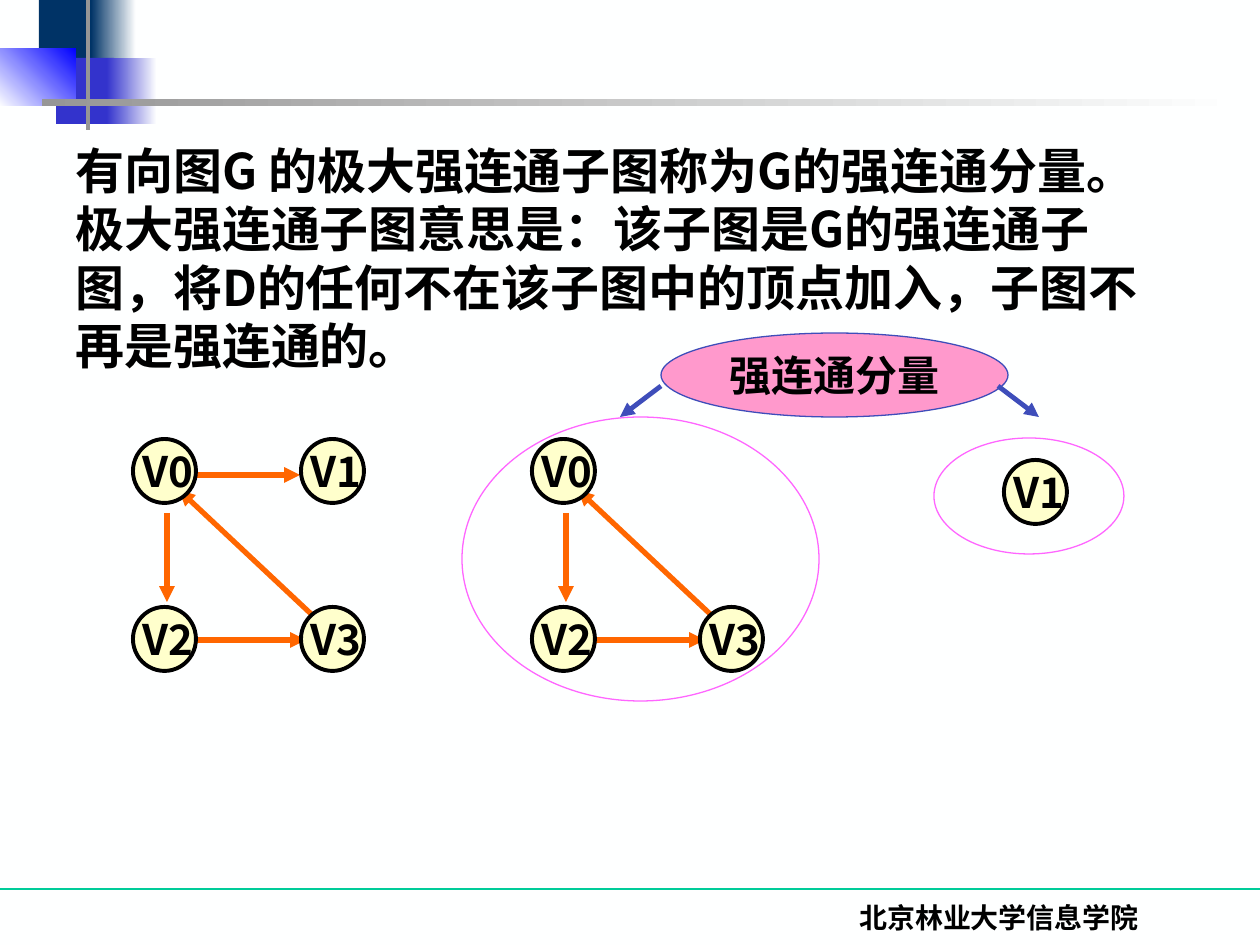
from typing import NamedTuple, Optional

from pptx import Presentation
from pptx.dml.color import RGBColor
from pptx.enum.shapes import MSO_CONNECTOR, MSO_SHAPE
from pptx.enum.text import MSO_ANCHOR, PP_ALIGN
from pptx.oxml.ns import qn
from pptx.util import Emu, Pt
from lxml.etree import SubElement

PX_PER_INCH = 126
SANS, SERIF = "Noto Sans CJK SC", "Times New Roman"
BLACK, PAPER, NAVY, INDIGO = "000000", "FEFFFF", "003366", "3333CC"
BLUE, GRAY, GREEN = "0000FF", "969696", "00CC99"
CALLOUT_BLUE, PINK, MAGENTA = "3E4DBA", "FF99CC", "FF66FF"
ORANGE, CREAM = "FF6600", "FFFFCC"

NODE_W, NODE_H, STEP = 63, 64, 168


class Box(NamedTuple):
    x: int
    y: int
    w: int
    h: int


class Band(NamedTuple):
    box: Box
    color: str
    fade_to: Optional[str] = None
    angle: int = 0


class Arrow(NamedTuple):
    x1: int
    y1: int
    x2: int
    y2: int


class Graph(NamedTuple):
    x: int
    y: int
    nodes: dict
    arrows: list


BANDS = [
    Band(Box(39, 0, 60, 66), NAVY),
    Band(Box(91, 0, 45, 66), NAVY, PAPER),
    Band(Box(56, 58, 58, 66), INDIGO),
    Band(Box(107, 58, 50, 66), INDIGO, PAPER),
    Band(Box(-1, 48, 77, 58), PAPER, BLUE, 45),
    Band(Box(86, -15, 4, 145), GRAY),
    Band(Box(42, 99, 1198, 7), GRAY, PAPER),
]

# Node cells are (column, row); arrows are measured from the graph's corner.
DOWN, ACROSS = Arrow(34, 74, 34, 163), Arrow(64, 201, 173, 201)
TOP, BACK = Arrow(64, 36, 167, 36), Arrow(192, 188, 46, 51)
GRAPHS = [
    Graph(133, 439, {"V0": (0, 0), "V1": (1, 0), "V2": (0, 1), "V3": (1, 1)},
          [DOWN, ACROSS, TOP, BACK]),
    Graph(532, 439, {"V0": (0, 0), "V2": (0, 1), "V3": (1, 1)},
          [DOWN, ACROSS, BACK]),
    Graph(1004, 460, {"V1": (0, 0)}, []),
]
COMPONENT_RINGS = [Box(462, 417, 357, 284), Box(934, 438, 190, 116)]
CALLOUT = Box(661, 333, 347, 84)
CALLOUT_ARROWS = [Arrow(661, 386, 620, 417), Arrow(998, 386, 1039, 417)]

DEFINITION = ("有向图G 的极大强连通子图称为G的强连通分量。极大强连通子图意思是："
              "该子图是G的强连通子图，将D的任何不在该子图中的顶点加入，子图不再是强连通的。")


def px(n: int) -> Emu:
    return Emu(round(n * 914400 / PX_PER_INCH))


def rgb(color: str) -> RGBColor:
    return RGBColor.from_string(color)


def add_shape(s, kind, box: Box, fill: Optional[str] = None,
              line: Optional[str] = None, width: float = 0.75):
    sp = s.shapes.add_shape(kind, *map(px, box))
    sp.shadow.inherit = False
    if fill:
        sp.fill.solid()
        sp.fill.fore_color.rgb = rgb(fill)
    else:
        sp.fill.background()
    if line:
        sp.line.color.rgb = rgb(line)
        sp.line.width = Pt(width)
    else:
        sp.line.fill.background()
    return sp


def add_band(s, band: Band) -> None:
    sp = add_shape(s, MSO_SHAPE.RECTANGLE, band.box, band.color)
    if band.fade_to:
        sp.fill.gradient()
        sp.fill.gradient_angle = band.angle
        for stop, color in zip(sp.fill.gradient_stops, (band.color, band.fade_to)):
            stop.color.rgb = rgb(color)


def add_line(s, ends: Arrow, color: str, width: float, head: bool = True) -> None:
    c = s.shapes.add_connector(MSO_CONNECTOR.STRAIGHT, *map(px, ends))
    c.line.color.rgb = rgb(color)
    c.line.width = Pt(width)
    sp_pr = c._element.spPr
    if head:
        SubElement(sp_pr.find(qn("a:ln")), qn("a:tailEnd"), type="triangle")
    SubElement(sp_pr, qn("a:effectLst"))


def write(sp, text: str, size: int, font: str, align=PP_ALIGN.LEFT,
          leading: Optional[float] = None):
    """Fill a shape with one bold paragraph; leading is a fixed line height in points."""
    tf = sp.text_frame
    tf.word_wrap = True
    p = tf.paragraphs[0]
    p.alignment = align
    p._p.get_or_add_pPr().set("hangingPunct", "0")
    if leading:
        p.line_spacing = Pt(leading)
    r = p.add_run()
    r.text = text
    r.font.size = Pt(size)
    r.font.bold = True
    r.font.color.rgb = rgb(BLACK)
    r.font.name = font
    SubElement(r.font._element, qn("a:ea"), typeface=SANS)
    return tf


def add_text(s, box: Box, *args, **kwargs):
    return write(s.shapes.add_textbox(*map(px, box)), *args, **kwargs)


def add_node(s, x: int, y: int, label: str) -> None:
    add_shape(s, MSO_SHAPE.OVAL, Box(x, y, NODE_W, NODE_H), CREAM, BLACK, 2.25)
    tf = add_text(s, Box(x - 6, y, 89, 63), label, 24, SANS, leading=28.8)
    tf.margin_left = px(16)


def add_graph(s, graph: Graph) -> None:
    x, y = graph.x, graph.y
    for a in graph.arrows:
        add_line(s, Arrow(x + a.x1, y + a.y1, x + a.x2, y + a.y2), ORANGE, 3)
    for label, (col, row) in graph.nodes.items():
        add_node(s, x + col * STEP, y + row * STEP, label)


def main() -> None:
    prs = Presentation()
    prs.slide_width, prs.slide_height = px(1260), px(945)
    s = prs.slides.add_slide(prs.slide_layouts[6])
    s.background.fill.solid()
    s.background.fill.fore_color.rgb = rgb(PAPER)

    add_line(s, Arrow(0, 889, 1260, 889), GREEN, 0.75, head=False)
    for band in BANDS:
        add_band(s, band)
    footer = add_text(s, Box(738, 896, 522, 63), "北京林业大学信息学院", 16, SERIF,
                      PP_ALIGN.CENTER, leading=18.5)
    footer.margin_top = px(6)
    add_text(s, Box(63, 134, 1124, 248), DEFINITION, 28, SANS, leading=33.5)

    callout = add_shape(s, MSO_SHAPE.OVAL, CALLOUT, PINK, CALLOUT_BLUE)
    tf = write(callout, "强连通分量", 24, SERIF, PP_ALIGN.CENTER, leading=28.8)
    tf.word_wrap = False
    tf.vertical_anchor = MSO_ANCHOR.MIDDLE
    for arrow in CALLOUT_ARROWS:
        add_line(s, arrow, CALLOUT_BLUE, 2.75)

    for graph in GRAPHS:
        add_graph(s, graph)
    for ring in COMPONENT_RINGS:
        add_shape(s, MSO_SHAPE.OVAL, ring, line=MAGENTA)
    prs.save("out.pptx")


if __name__ == "__main__":
    main()
